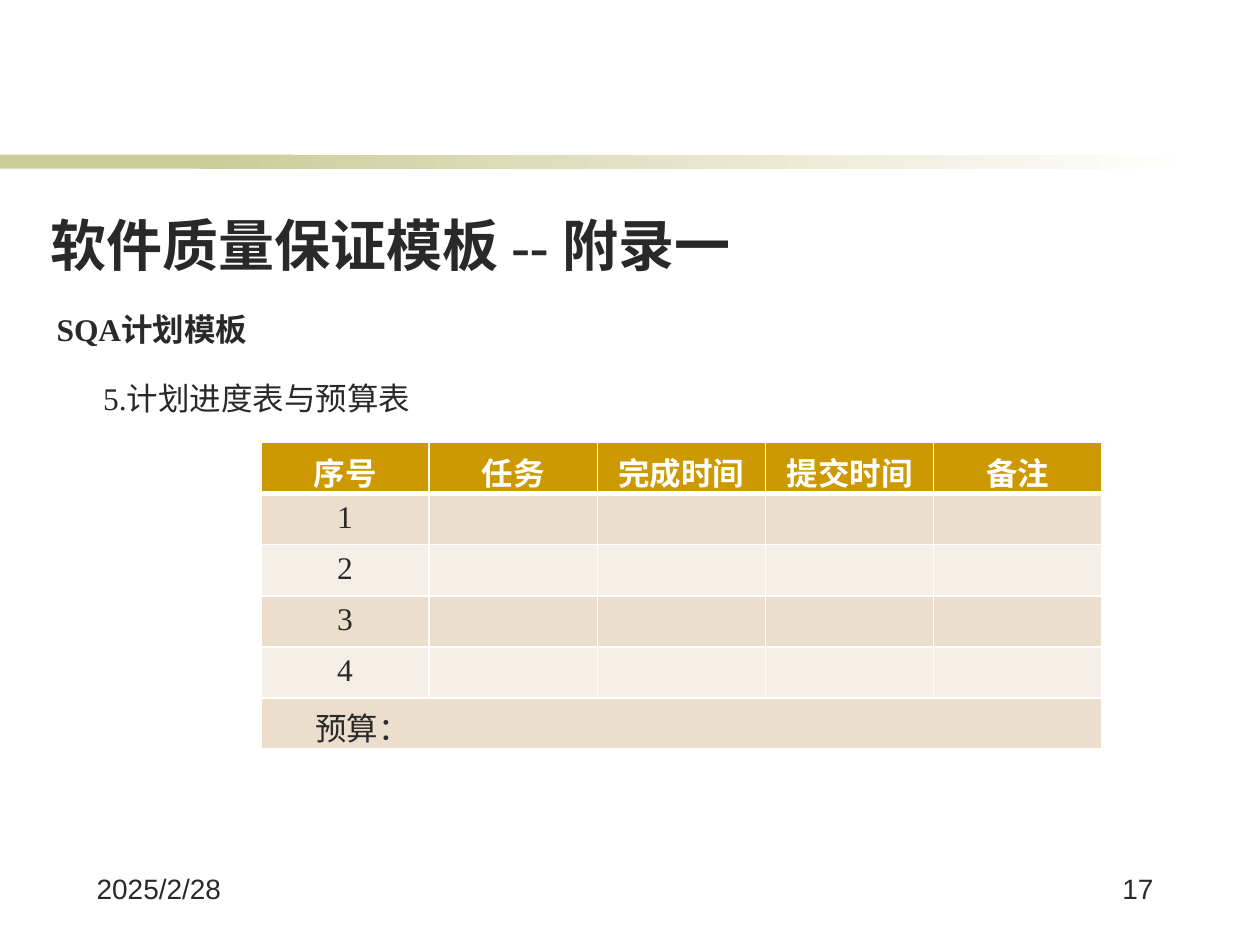
from lxml.etree import SubElement
from pptx import Presentation
from pptx.dml.color import RGBColor
from pptx.enum.shapes import MSO_SHAPE
from pptx.enum.text import PP_ALIGN
from pptx.oxml.ns import qn
from pptx.util import Cm, Pt

DARK = RGBColor(0x29, 0x29, 0x29)
WHITE = RGBColor(0xFF, 0xFF, 0xFF)
OLIVE = RGBColor(0xCC, 0xCC, 0x99)
GOLD = RGBColor(0xCC, 0x99, 0x00)
BANDS = [RGBColor(0xF6, 0xEF, 0xE7), RGBColor(0xEC, 0xDE, 0xCC)]
SERIF = "Times New Roman"

TEXTS = [
    ("2025/2/28", (1.7, 17.45, 3.58, 1.27), dict(size=16, font="Arial")),
    ("17", (20.9, 17.45, 2.6, 1.27),
     dict(size=16, font="Arial", align=PP_ALIGN.RIGHT)),
    ("软件质量保证模板 -- 附录一", (0.76, 4.12, 17.35, 1.63),
     dict(size=32, bold=True)),
    ("SQA计划模板", (0.89, 6.12, 22, 1.02), dict(bold=True)),
    ("5.计划进度表与预算表", (1.83, 7.52, 7.6, 1.02), dict()),
]
HEADERS = ["序号", "任务", "完成时间", "提交时间", "备注"]
NUMBERS = ["1", "2", "3", "4"]
BUDGET = "预算："
COL_W, ROW_H = 3.39, 1.03


def write(tf, text, size=18, font=SERIF, color=DARK, bold=False,
          align=PP_ALIGN.LEFT):
    p = tf.paragraphs[0]
    p.alignment = align
    r = p.add_run()
    r.text = text
    r.font.size = Pt(size)
    r.font.name = font
    r.font.bold = bold
    r.font.color.rgb = color


def add_bar(s, left, width):
    sp = s.shapes.add_shape(MSO_SHAPE.RECTANGLE, Cm(left), Cm(3.12),
                            Cm(width), Cm(0.28))
    sp.shadow.inherit = False
    sp.line.fill.background()
    return sp


def set_borders(cell, bottom):
    tcPr = cell._tc.get_or_add_tcPr()
    for tag, width in (("L", 1), ("R", 1), ("T", 1), ("B", bottom)):
        ln = SubElement(tcPr, qn(f"a:ln{tag}"), w=str(Pt(width)))
        fill = SubElement(ln, qn("a:solidFill"))
        SubElement(fill, qn("a:srgbClr"), val=str(WHITE))


def add_schedule(s):
    rows = [HEADERS] + [[n] for n in NUMBERS] + [[]]
    table = s.shapes.add_table(len(rows), len(HEADERS), Cm(5.26), Cm(8.92),
                               Cm(COL_W * len(HEADERS)),
                               Cm(ROW_H * len(rows))).table
    for col in table.columns:
        col.width = Cm(COL_W)
    for i, row in enumerate(rows):
        table.rows[i].height = Cm(ROW_H)
        head = i == 0
        for j in range(len(HEADERS)):
            cell = table.cell(i, j)
            set_borders(cell, 3 if head else 1)
            cell.fill.solid()
            cell.fill.fore_color.rgb = GOLD if head else BANDS[i % 2]
            if j < len(row):
                write(cell.text_frame, row[j], bold=head,
                      color=WHITE if head else DARK, align=PP_ALIGN.CENTER)
    last = len(rows) - 1
    budget = table.cell(last, 0)
    budget.merge(table.cell(last, len(HEADERS) - 1))
    budget.margin_left = Cm(1.1)
    write(budget.text_frame, BUDGET)


def main():
    prs = Presentation()
    prs.slide_width, prs.slide_height = Cm(25.4), Cm(19.05)
    s = prs.slides.add_slide(prs.slide_layouts[6])

    solid_bar = add_bar(s, 0, 5.92)
    solid_bar.fill.solid()
    solid_bar.fill.fore_color.rgb = OLIVE

    fading_bar = add_bar(s, 4.01, 20.12)
    fading_bar.fill.gradient()
    fading_bar.fill.gradient_angle = 0
    for stop, color in zip(fading_bar.fill.gradient_stops, (OLIVE, WHITE)):
        stop.color.rgb = color

    for text, box, style in TEXTS:
        tf = s.shapes.add_textbox(*map(Cm, box)).text_frame
        tf.word_wrap = True
        write(tf, text, **style)
    add_schedule(s)
    prs.save("out.pptx")


if __name__ == "__main__":
    main()
